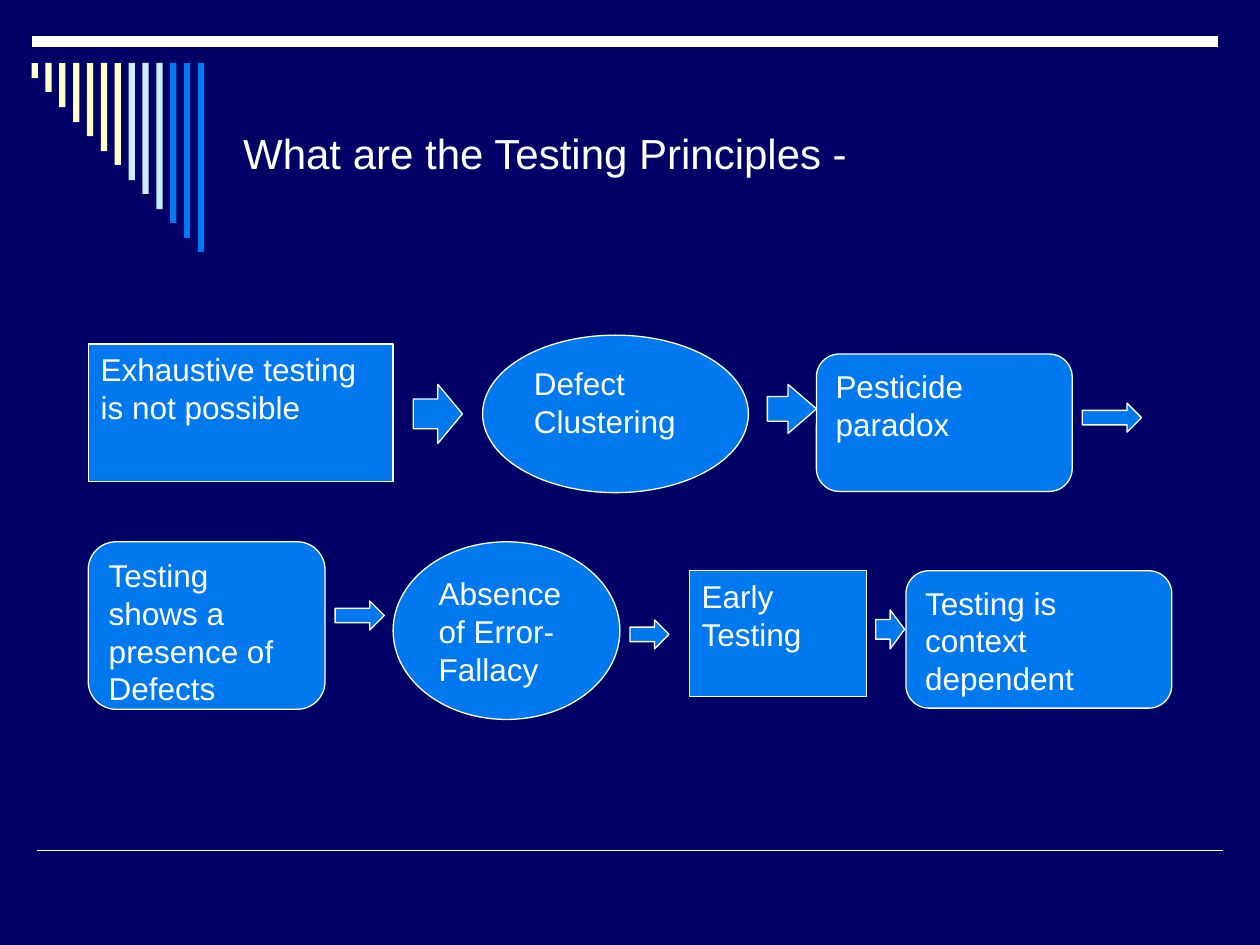
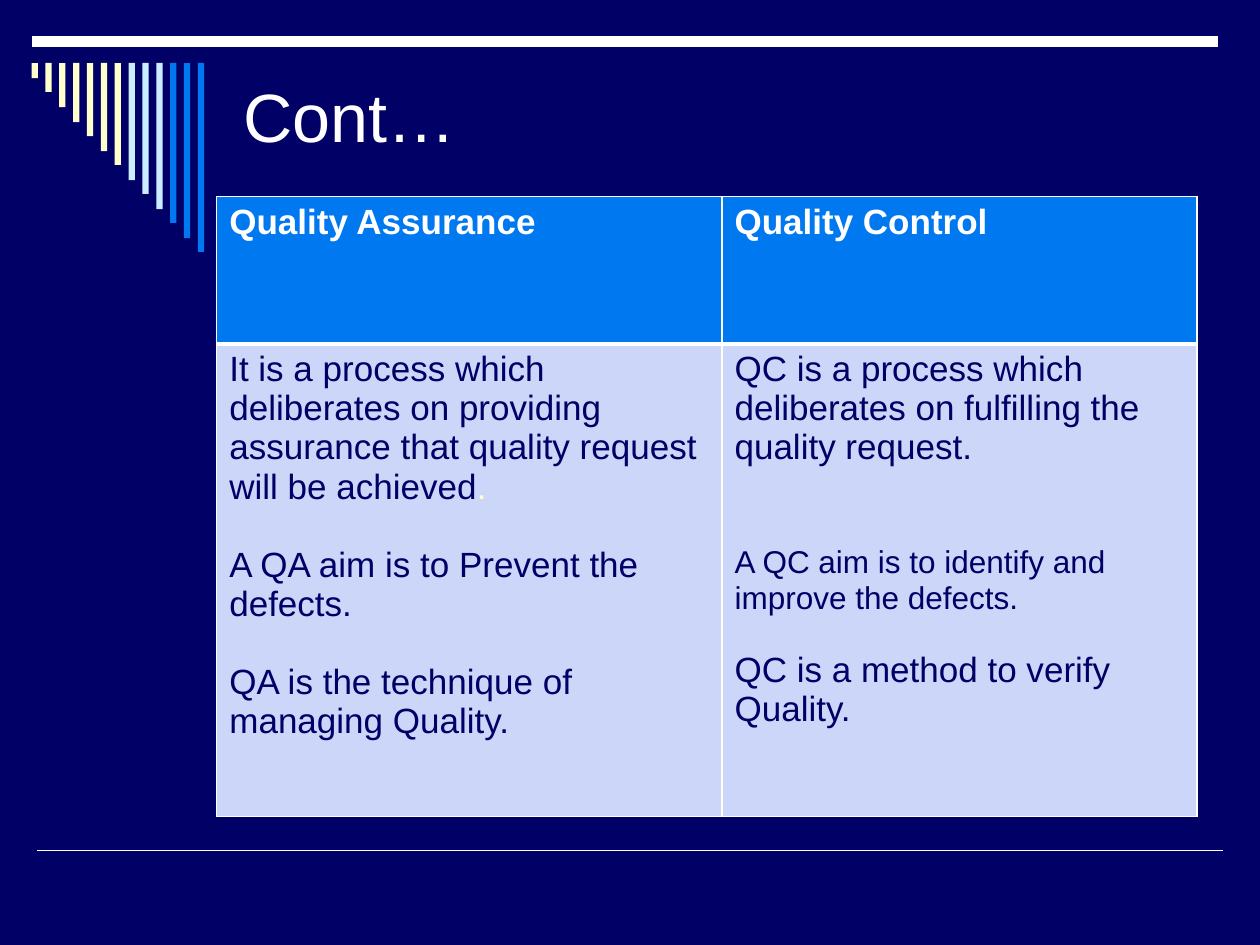
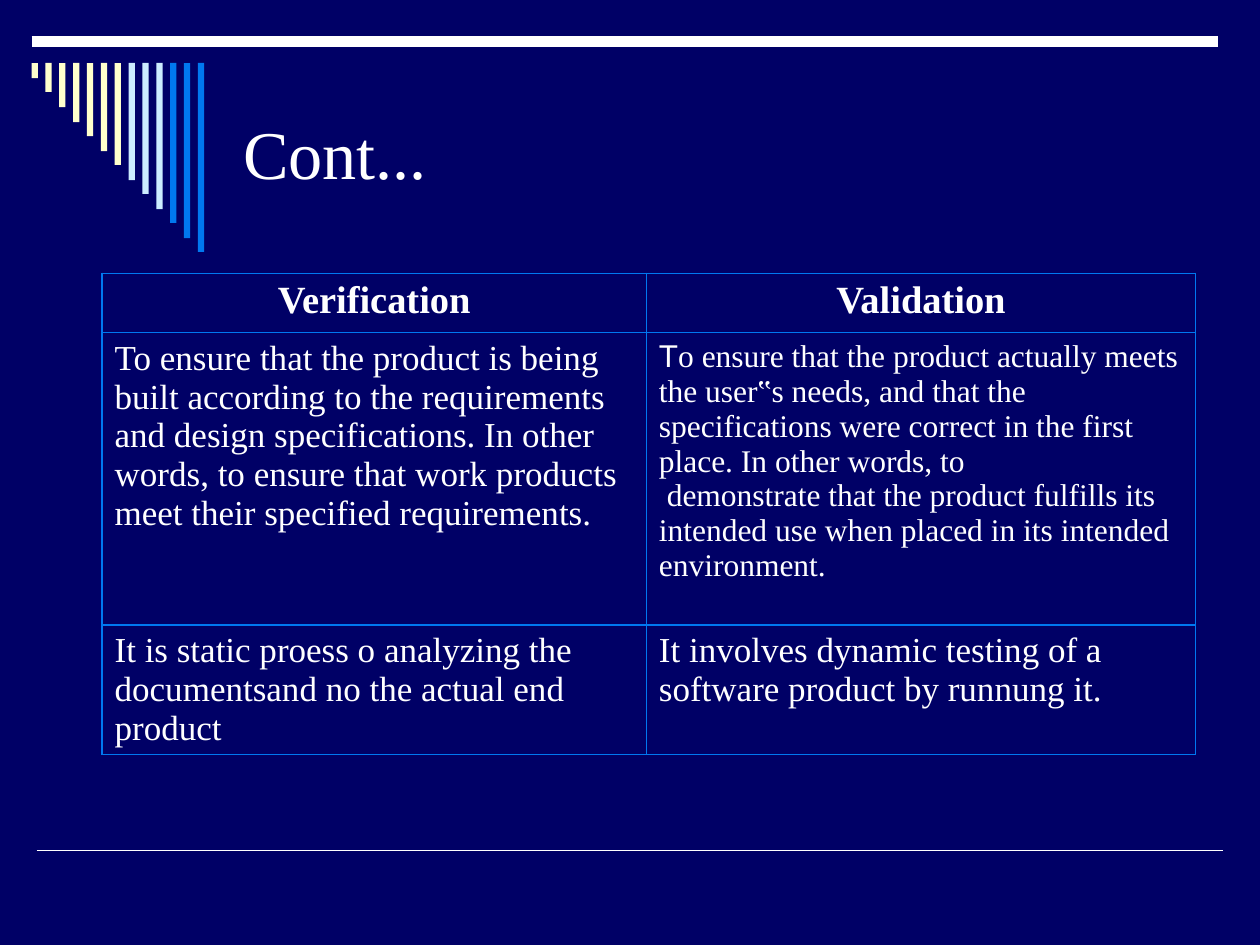
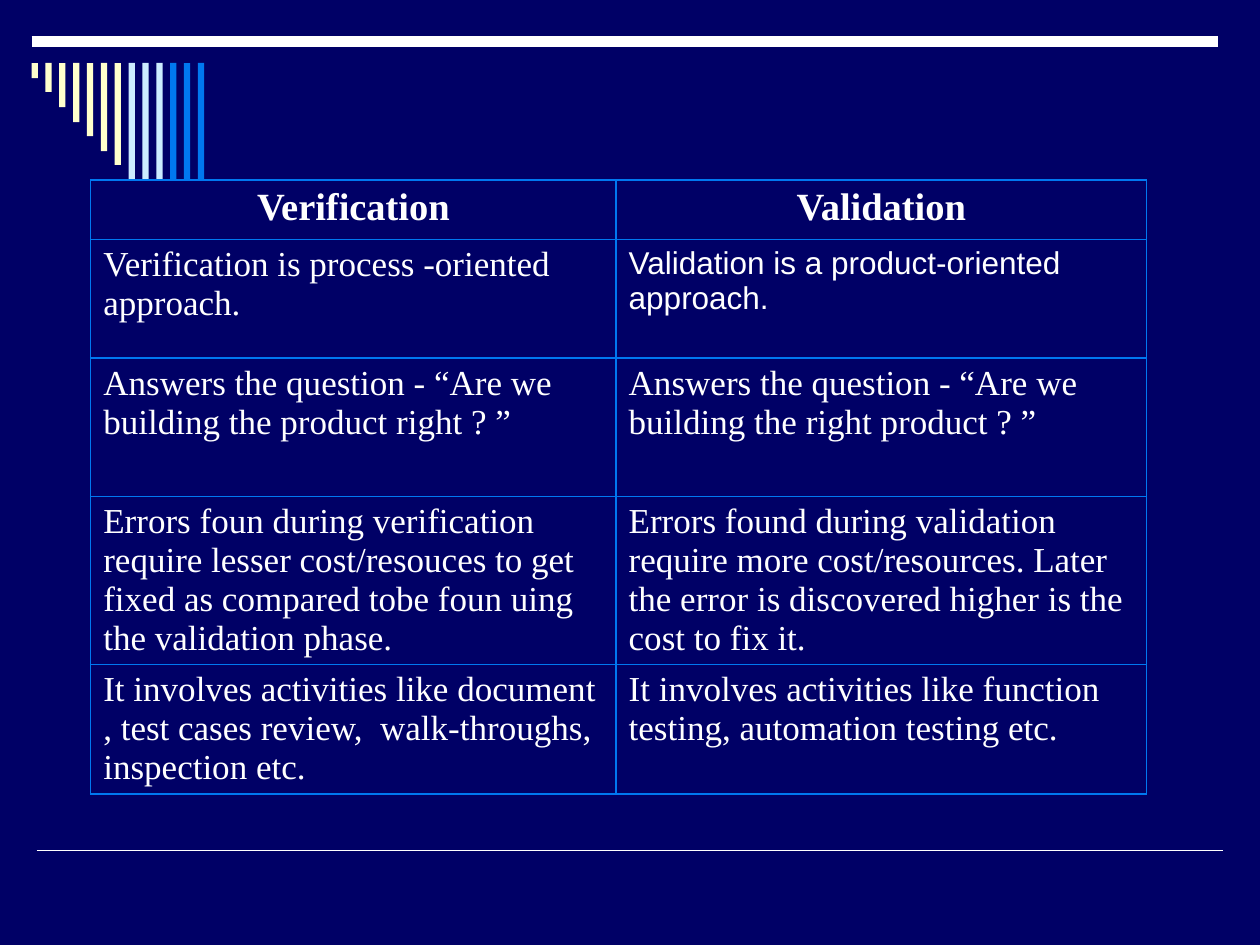
from lxml import etree
from pptx import Presentation
from pptx import util as u
from pptx.dml.color import RGBColor
from pptx.enum import shapes, text
from pptx.oxml.ns import qn

NAVY, BLUE, WHITE = "000066", "0078F0", "FFFFFF"
CREAM, ICE, PALE = "FFFFCC", "CCECFF", "CCD6F9"
ARIAL, TIMES = "Arial", "Times New Roman"
RECT = shapes.MSO_SHAPE.RECTANGLE
ROUND = shapes.MSO_SHAPE.ROUNDED_RECTANGLE
OVAL = shapes.MSO_SHAPE.OVAL
ARROW = shapes.MSO_SHAPE.RIGHT_ARROW
LEFT, CENTER = text.PP_ALIGN.LEFT, text.PP_ALIGN.CENTER
TITLE_ONLY, BLANK = 5, 6


# Shared helpers
def rgb(value):
    return RGBColor.from_string(value)


def inches(*values):
    return [u.Inches(round(v, 2)) for v in values]


def paint(item, color):
    item.fill.solid()
    item.fill.fore_color.rgb = rgb(color)


def para(*runs, **fmt):
    """One paragraph: runs are strings or (string, font values) pairs."""
    return runs, fmt


def write(tf, paras, font, align=LEFT):
    """Fill a text frame; font holds name, size, color and bold."""
    if isinstance(paras, str):
        paras = [para(paras)]
    for i, (runs, fmt) in enumerate(paras):
        p = tf.add_paragraph() if i else tf.paragraphs[0]
        p.alignment = align
        for key, value in fmt.items():
            setattr(p, key, value)
        for run in runs:
            words, own = (run, {}) if isinstance(run, str) else run
            values = {**font, **own}
            r = p.add_run()
            r.text = words
            r.font.color.rgb = rgb(values.pop("color"))
            values["size"] = u.Pt(values["size"])
            for key, value in values.items():
                setattr(r.font, key, value)


def add_box(parent, kind, box, fill, line=None):
    sp = parent.shapes.add_shape(kind, *inches(*box))
    sp.shadow.inherit = False
    paint(sp, fill)
    if line:
        sp.line.color.rgb = rgb(line)
        sp.line.width = u.Pt(0.75)
    else:
        sp.line.fill.background()
    return sp


def add_rule(s, x, y, width, weight):
    line = s.shapes.add_connector(shapes.MSO_CONNECTOR.STRAIGHT,
                                  *inches(x, y, x + width, y))
    line.line.color.rgb = rgb(WHITE)
    line.line.width = u.Pt(weight)
    etree.SubElement(line.element.spPr, qn("a:effectLst"))
    return line


# Master: background, two rules and the fan of bars
def decorate_master(master, s):
    paint(master.background, NAVY)
    fan = s.shapes.add_group_shape()
    for i, color in enumerate([CREAM] * 7 + [ICE] * 3 + [BLUE] * 3):
        add_box(fan, RECT, (0.25 + 0.11 * i, 0.5, 0.05, 0.12 + 0.115 * i), color)
    parts = [add_rule(s, 0.29, 6.75, 9.42, 1), add_rule(s, 0.25, 0.33, 9.42, 6), fan]
    for part in parts:
        master.shapes.element.append(part.element)
    for i, item in enumerate(master.shapes.element.iter(qn("p:cNvPr")), 1):
        item.set("id", str(i))


def set_title(s, words, height=1.42, size=39, name=ARIAL):
    title = s.shapes.title
    title.left, title.top, title.width, title.height = inches(1.83, 0.5, 7.67, height)
    tf = title.text_frame
    for key, value in {"word_wrap": True, "auto_size": text.MSO_AUTO_SIZE.NONE,
                       "vertical_anchor": text.MSO_ANCHOR.MIDDLE}.items():
        setattr(tf, key, value)
    write(tf, words, {"name": name, "size": size, "color": WHITE})


# Flow of principles: each step is (shape, x, y, width, height, words),
# and an arrow may add the length of its head
def add_flow(s, left, top, steps):
    for kind, x, y, w, h, words, *head in steps:
        sp = add_box(s, kind, (left + x, top + y, w, h), BLUE, WHITE)
        if head:
            sp.adjustments[1] = head[0]
        if words:
            sp.text_frame.word_wrap = True
            sp.text_frame.vertical_anchor = text.MSO_ANCHOR.TOP
            write(sp.text_frame, words, {"name": ARIAL, "size": 18, "color": WHITE})


# Comparison tables
def set_borders(cell, color, widths):
    tc_pr = cell._tc.get_or_add_tcPr()
    for i, (side, width) in enumerate(zip("LRTB", widths)):
        ln = etree.Element(qn("a:ln" + side), w=str(u.Pt(width)))
        fill = etree.SubElement(ln, qn("a:solidFill"))
        etree.SubElement(fill, qn("a:srgbClr"), val=color)
        tc_pr.insert(i, ln)


def add_comparison(s, left, top, cols, heights, rows, head, body,
                   fills=(NAVY, NAVY), border=BLUE, rule=1, head_align=CENTER):
    """First row is the header; rule is the line weight below it."""
    frame = s.shapes.add_table(len(rows), len(cols),
                               *inches(left, top, sum(cols), sum(heights)))
    table = frame.table
    table.first_row = table.horz_banding = False
    for column, width in zip(table.columns, cols):
        column.width = u.Inches(width)
    for i, (row, height) in enumerate(zip(rows, heights)):
        table.rows[i].height = u.Inches(height)
        for j, words in enumerate(row):
            cell = table.cell(i, j)
            paint(cell, fills[min(i, 1)])
            set_borders(cell, border, (1, 1, rule if i == 1 else 1,
                                       rule if i == 0 else 1))
            write(cell.text_frame, words, body if i else head,
                  LEFT if i else head_align)


# Slides
def principles_slide(s):
    set_title(s, "What are the Testing Principles -", size=24)
    add_flow(s, 0.7, 2.66, [
        (RECT, 0, 0.07, 2.42, 1.09, "Exhaustive testing is not possible"),
        (ARROW, 2.58, 0.39, 0.39, 0.47, ""),
        (OVAL, 3.13, 0, 2.11, 1.25, "Defect Clustering"),
        (ARROW, 5.39, 0.39, 0.39, 0.39, "", 0.58),
        (ROUND, 5.78, 0.15, 2.03, 1.09, "Pesticide paradox"),
        (ARROW, 7.89, 0.54, 0.47, 0.23, ""),
    ])
    add_flow(s, 0.7, 4.3, [
        (ROUND, 0, 0, 1.88, 1.33, "Testing shows a presence of Defects"),
        (ARROW, 1.96, 0.47, 0.39, 0.23, ""),
        (OVAL, 2.42, 0, 1.8, 1.41, "Absence of Error-Fallacy"),
        (ARROW, 4.3, 0.62, 0.31, 0.23, ""),
        (RECT, 4.77, 0.23, 1.41, 1, "Early Testing"),
        (ARROW, 6.25, 0.54, 0.23, 0.31, ""),
        (ROUND, 6.49, 0.23, 2.11, 1.09, "Testing is context dependent"),
    ])


def quality_slide(s):
    set_title(s, "Cont…", height=0.83)
    gap = u.Pt(22.3)
    assurance = [
        para("It is a process which deliberates on providing assurance that "
             "quality request will be achieved", (".", {"color": CREAM})),
        para("A QA aim is to Prevent the defects.", space_before=gap),
        para("QA is the technique of managing Quality.", space_before=gap),
    ]
    control = [
        para("QC is a process which deliberates on fulfilling the quality request."),
        para(("A QC aim is to identify and improve the defects.", {"size": 18}),
             space_before=2 * gap),
        para("QC is a method to verify Quality.", space_before=u.Pt(20.1)),
    ]
    add_comparison(s, 1.72, 1.56, (4.01, 3.77), (1.17, 3.75),
                   [("Quality Assurance", "Quality Control"), (assurance, control)],
                   {"name": ARIAL, "size": 20, "color": WHITE, "bold": True},
                   {"name": ARIAL, "size": 20, "color": NAVY, "bold": False},
                   fills=(BLUE, PALE), border=WHITE, rule=3, head_align=LEFT)


def verification_table(s, left, top, cols, heights, rows):
    add_comparison(s, left, top, cols, heights,
                   [("Verification", "Validation"), *rows],
                   {"name": TIMES, "size": 22, "color": WHITE, "bold": True},
                   {"name": TIMES, "size": 20, "color": WHITE, "bold": False})


def purpose_slide(s):
    set_title(s, "Cont...", name=TIMES)
    small = {"size": 18}
    validation = [
        para(("T", {"size": 18, "name": ARIAL}),
             ("o ensure that the product actually meets the user‟s needs, and that "
              "the specifications were correct in the first place. In other words, to",
              small)),
        para((" demonstrate that the product fulfills its intended use when placed "
              "in its intended environment.", small)),
    ]
    verification_table(s, 0.81, 2.17, (4.32, 4.36), (0.47, 2.32, 1.03), [
        ("To ensure that the product is being built according to the requirements "
         "and design specifications. In other words, to ensure that work products "
         "meet their specified requirements.", validation),
        ("It is static proess o analyzing the documentsand no the actual end product",
         "It involves dynamic testing of a software product by runnung it."),
    ])


def approach_slide(s):
    product = [para(("Validation is a product-oriented approach.",
                     {"size": 18, "name": ARIAL}))]
    verification_table(s, 0.72, 1.43, (4.17, 4.21), (0.47, 0.94, 1.1, 1.33, 1.03), [
        ("Verification is process -oriented approach.", product),
        ("Answers the question - “Are we building the product right ? ”",
         "Answers the question - “Are we building the right product ? ”"),
        ("Errors foun during verification require lesser cost/resouces to get fixed "
         "as compared tobe foun uing the validation phase.",
         "Errors found during validation require more cost/resources. Later the "
         "error is discovered higher is the cost to fix it."),
        ("It involves activities like document , test cases review,  walk-throughs, "
         "inspection etc.",
         "It involves activities like function testing, automation testing etc."),
    ])


def main():
    prs = Presentation()
    prs.slide_width, prs.slide_height = inches(10, 7.5)
    pages = [(principles_slide, TITLE_ONLY), (quality_slide, TITLE_ONLY),
             (purpose_slide, TITLE_ONLY), (approach_slide, BLANK)]
    for i, (build, layout) in enumerate(pages):
        s = prs.slides.add_slide(prs.slide_layouts[layout])
        if i == 0:
            decorate_master(prs.slide_master, s)
        build(s)
    prs.save("out.pptx")


if __name__ == "__main__":
    main()
